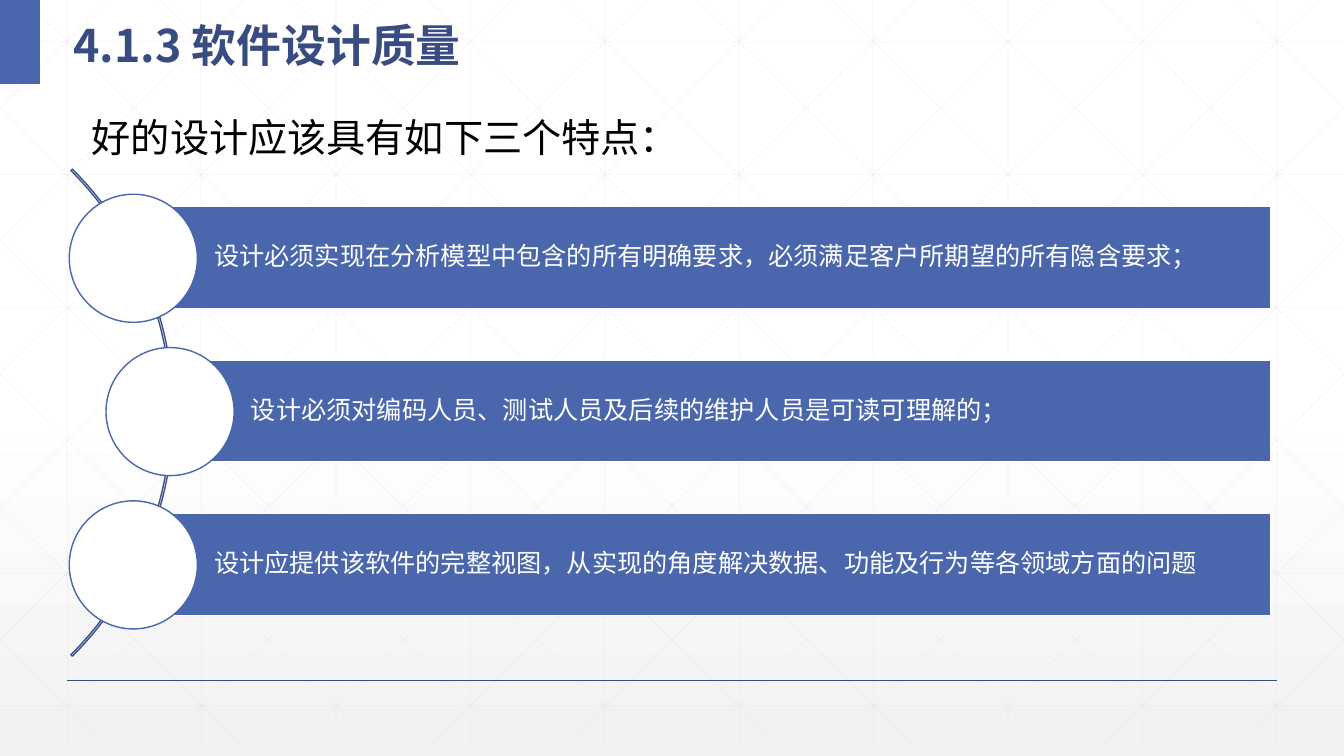
from lxml.etree import SubElement
from pptx import Presentation
from pptx.dml.color import RGBColor
from pptx.enum.shapes import MSO_CONNECTOR, MSO_SHAPE
from pptx.enum.text import MSO_ANCHOR, MSO_AUTO_SIZE, PP_ALIGN
from pptx.oxml.ns import qn
from pptx.util import Pt

PX = 9525
WIDE, HIGH = 1280, 720
COLORS = {
    "blue": "4A66AC", "navy": "384C81", "arc": "3B528A", "grid": "D9D9D9",
    "white": "FFFFFF", "pale": "F2F2F2", "black": "000000",
}
CJK = "Noto Sans CJK SC"
POINTS = [
    "设计必须实现在分析模型中包含的所有明确要求，必须满足客户所期望的所有隐含要求；",
    "设计必须对编码人员、测试人员及后续的维护人员是可读可理解的；",
    "设计应提供该软件的完整视图，从实现的角度解决数据、功能及行为等各领域方面的问题",
]


def rgb(name):
    return RGBColor.from_string(COLORS[name])


def emu(*sizes):
    return [size * PX for size in sizes]


def add_line(slide, ends, color, width, alpha=None):
    line = slide.shapes.add_connector(MSO_CONNECTOR.STRAIGHT, *emu(*ends))
    line.line.color.rgb = rgb(color)
    line.line.width = Pt(width)
    props = line.element.spPr
    SubElement(props, qn("a:effectLst"))
    if alpha:
        tint = props.find(".//" + qn("a:srgbClr"))
        SubElement(tint, qn("a:alpha"), val=str(alpha * 1000))


def add_form(slide, kind, box, fill=None, edge=None):
    form = slide.shapes.add_shape(kind, *emu(*box))
    form.shadow.inherit = False
    if fill:
        form.fill.solid()
        form.fill.fore_color.rgb = rgb(fill)
    else:
        form.fill.background()
    if edge:
        form.line.color.rgb = rgb(edge)
        form.line.width = Pt(1)
    else:
        form.line.fill.background()
    return form


def set_text(frame, text, size, color, face="Arial", bold=False, space=None):
    frame.text = text
    para = frame.paragraphs[0]
    para.alignment = PP_ALIGN.LEFT
    para.line_spacing = space
    font = para.font
    font.name, font.size, font.bold = face, Pt(size), bold
    font.color.rgb = rgb(color)
    props = para._p.pPr.find(qn("a:defRPr"))
    SubElement(props, qn("a:ea"), typeface=CJK)


def draw_back(slide):
    fill = slide.background.fill
    fill.gradient()
    fill.gradient_angle = 270
    for stop, place, color in zip(fill.gradient_stops, (0.53, 1), ("white", "pale")):
        stop.position = place
        stop.color.rgb = rgb(color)


def draw_grid(slide, wide, high):
    """Draw upright, level and crossed slanting lines, cut at the sides."""
    step, run = 128, 716
    ends = [(x, 0, x, high) for x in range(64, wide, step)]
    for row in range(6):
        y = round(40 + 126.4 * row)
        ends.append((0, y, wide, y))
    for col in range(-5, 10):
        start = 24 + step * col
        left, right = max(start, 0), min(start + run, wide)
        top, foot = (round((x - start) * high / run) for x in (left, right))
        ends.append((left, top, right, foot))
        ends.append((wide - left, top, wide - right, foot))
    for end in ends:
        add_line(slide, end, "grid", 0.5, alpha=25)


def draw_head(slide, left, top, width, height):
    add_form(slide, MSO_SHAPE.RECTANGLE, (left, top, 38, 80), "blue")
    title = slide.shapes.title
    slide.shapes.element.append(title.element)
    title.left, title.top, title.width, title.height = emu(left + 60, top, width - 60, height)
    frame = title.text_frame
    frame.auto_size = MSO_AUTO_SIZE.NONE
    frame.vertical_anchor = MSO_ANCHOR.MIDDLE
    set_text(frame, "4.1.3 软件设计质量", 32, "navy", CJK, True, 1.3)


def draw_intro(slide, box):
    frame = slide.shapes.add_textbox(*emu(*box)).text_frame
    frame.word_wrap = False
    frame.auto_size = MSO_AUTO_SIZE.SHAPE_TO_FIT_TEXT
    set_text(frame, "好的设计应该具有如下三个特点：", 28, "black")


def draw_points(slide, left, top, width, height):
    """Set the points in bars, each led by a disc on a curved rail."""
    disc, bar, step, shift, rail = 122, 97, 146, 35, 656
    arc = add_form(slide, MSO_SHAPE.BLOCK_ARC,
                   (left - 557, top + (height - rail) // 2, rail, rail), edge="arc")
    for spot, value in enumerate((189, 27, 0.003)):
        arc.adjustments[spot] = value
    for row, text in enumerate(POINTS):
        edge = left + row % 2 * shift
        y = top + 24 + row * step
        x = edge + disc // 2
        form = add_form(slide, MSO_SHAPE.RECTANGLE,
                        (x, y + (disc - bar) // 2, left + width - x, bar), "blue", "white")
        frame = form.text_frame
        frame.word_wrap = True
        frame.vertical_anchor = MSO_ANCHOR.MIDDLE
        (frame.margin_left, frame.margin_top,
         frame.margin_right, frame.margin_bottom) = emu(77, 5, 5, 5)
        set_text(frame, text, 18, "white", space=0.9)
        add_form(slide, MSO_SHAPE.OVAL, (edge, y, disc, disc), "white", "blue")


def main():
    deck = Presentation()
    deck.slide_width, deck.slide_height = emu(WIDE, HIGH)
    slide = deck.slides.add_slide(deck.slide_layouts[5])
    draw_back(slide)
    draw_grid(slide, WIDE, 708)
    add_line(slide, (64, 648, 1216, 648), "navy", 1)
    draw_head(slide, 0, 0, 785, 70)
    draw_points(slide, 66, 161, 1144, 464)
    draw_intro(slide, (78, 103, 595, 54))
    deck.save("out.pptx")


if __name__ == "__main__":
    main()
